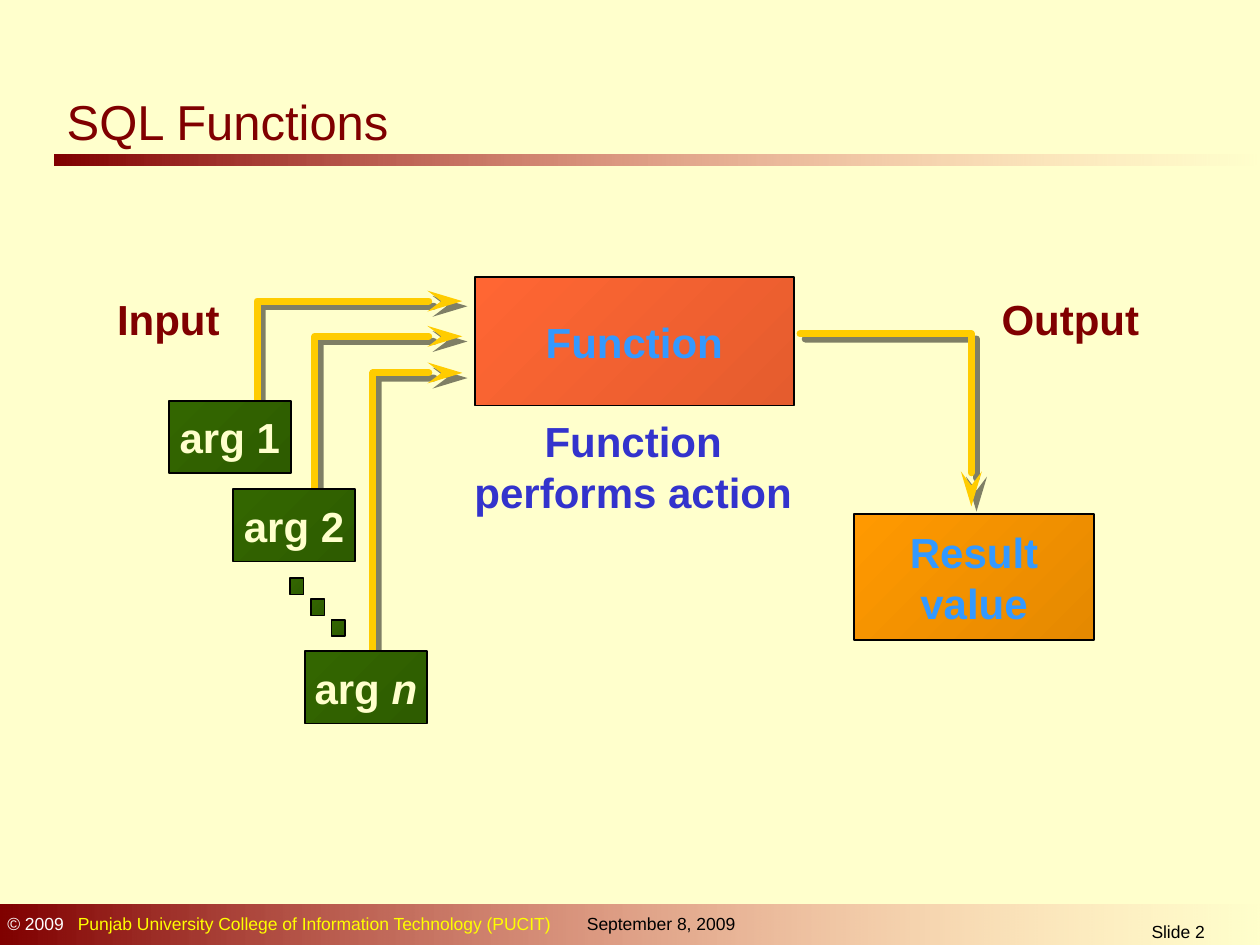
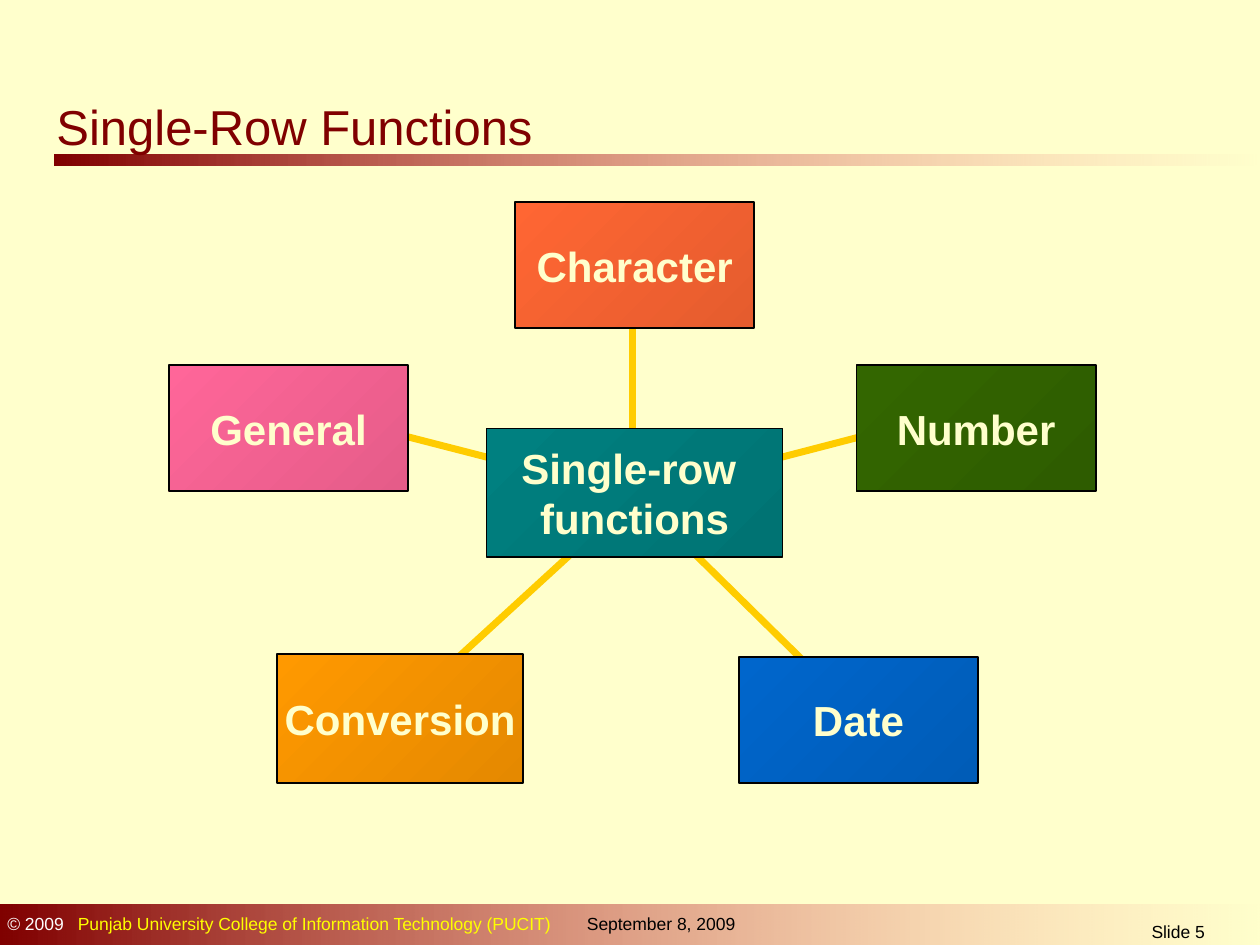
from dataclasses import dataclass

from lxml import etree
from pptx import Presentation
from pptx.dml.color import RGBColor
from pptx.enum.shapes import MSO_CONNECTOR, MSO_SHAPE
from pptx.enum.text import MSO_ANCHOR, PP_ALIGN
from pptx.oxml.ns import qn
from pptx.util import Pt

RECT = MSO_SHAPE.RECTANGLE
STRAIGHT = MSO_CONNECTOR.STRAIGHT
LEFT, CENTER = PP_ALIGN.LEFT, PP_ALIGN.CENTER
TOP, MIDDLE = MSO_ANCHOR.TOP, MSO_ANCHOR.MIDDLE

FONT = "Arial"
CREAM, MAROON, GOLD, BLACK = "FFFFCC", "800000", "FFCC00", "000000"
SKY, INDIGO, WHITE, YELLOW = "3399FF", "3333CC", "FFFFFF", "FFFF00"
BAND = ("FF8585", MAROON)

# Box shades: dark lower right, bright upper left
ORANGE = ("E55C2E", "FF6633")
GREEN = ("2E5C00", "336600")
AMBER = ("E58900", "FF9900")
BLUE = ("005CB7", "0066CC")
PINK = ("E55C89", "FF6699")
TEAL = ("007373", "008080")


@dataclass
class Run:
    text: str
    color: str
    size: float = 24
    bold: bool = True
    italic: bool = False


@dataclass
class Box:
    x: float
    y: float
    w: float
    h: float
    shade: tuple[str, str]
    lines: tuple[tuple[Run, ...], ...] = ()


@dataclass
class Label:
    x: float
    y: float
    w: float
    h: float
    runs: tuple[Run, ...]
    align: PP_ALIGN = LEFT
    wrap: bool = False
    indent: float = 0
    tab: float = 0


def rgb(color: str) -> RGBColor:
    return RGBColor.from_string(color)


def sub(parent, tag: str, **attrs: str):
    return etree.SubElement(parent, qn(tag), attrs)


def line_style(s, color: str, width: float) -> None:
    s.line.color.rgb = rgb(color)
    s.line.width = Pt(width)


def shade_fill(s, shade: tuple[str, str], angle: float) -> None:
    s.fill.gradient()
    s.fill.gradient_angle = angle
    for stop, color, position in zip(s.fill.gradient_stops, shade, (0, 1)):
        stop.color.rgb = rgb(color)
        stop.position = position


def write(tf, lines, align: PP_ALIGN, anchor: MSO_ANCHOR, wrap: bool) -> None:
    tf.word_wrap = wrap
    tf.vertical_anchor = anchor
    for i, runs in enumerate(lines):
        p = tf.add_paragraph() if i else tf.paragraphs[0]
        p.alignment = align
        for run in runs:
            r = p.add_run()
            r.text = run.text
            r.font.name, r.font.size = FONT, Pt(run.size)
            r.font.bold, r.font.italic = run.bold, run.italic
            r.font.color.rgb = rgb(run.color)


def draw_box(slide, box: Box) -> None:
    s = slide.shapes.add_shape(RECT, Pt(box.x), Pt(box.y), Pt(box.w), Pt(box.h))
    s.shadow.inherit = False
    shade_fill(s, box.shade, 135)
    line_style(s, BLACK, 1)
    write(s.text_frame, box.lines, CENTER, MIDDLE, False)


def draw_label(slide, label: Label) -> None:
    s = slide.shapes.add_textbox(Pt(label.x), Pt(label.y), Pt(label.w), Pt(label.h))
    pPr = s.text_frame.paragraphs[0]._p.get_or_add_pPr()
    if label.indent:
        pPr.set("marL", str(Pt(label.indent)))
    if label.tab:
        sub(sub(pPr, "a:tabLst"), "a:tab", pos=str(Pt(label.tab)), algn="l")
    write(s.text_frame, [label.runs], label.align, TOP, label.wrap)


def draw_band(slide, x: float, y: float, w: float, h: float) -> None:
    """Maroon band that fades out to the right."""
    s = slide.shapes.add_shape(RECT, Pt(x), Pt(y), Pt(w), Pt(h))
    s.shadow.inherit = False
    shade_fill(s, BAND, 180)
    s.line.fill.background()
    faded = s._element.spPr.find(".//" + qn("a:srgbClr"))
    sub(faded, "a:alpha", val="0")


def draw_elbow(slide, *points: tuple[float, float]) -> None:
    """Bent arrow with a hard shadow."""
    start, *rest = [(Pt(x), Pt(y)) for x, y in points]
    builder = slide.shapes.build_freeform(*start)
    builder.add_line_segments(rest, close=False)
    s = builder.convert_to_shape()
    s.fill.background()
    line_style(s, GOLD, 4)
    ln = s.line._get_or_add_ln()
    ln.set("cap", "rnd")
    sub(ln, "a:round")
    sub(ln, "a:tailEnd", type="stealth", w="med", len="lg")
    s.shadow.inherit = False
    effects = s._element.spPr.find(qn("a:effectLst"))
    shadow = sub(effects, "a:outerShdw", blurRad="0", dist=str(Pt(4.2)),
                 dir="2700000", algn="ctr", rotWithShape="0")
    sub(sub(shadow, "a:srgbClr", val=BLACK), "a:alpha", val="50000")


def draw_spoke(slide, x1: float, y1: float, x2: float, y2: float) -> None:
    s = slide.shapes.add_connector(STRAIGHT, Pt(x1), Pt(y1), Pt(x2), Pt(y2))
    line_style(s, GOLD, 4)
    sub(s._element.spPr, "a:effectLst")


def new_slide(prs, number: int, title: str, x: float, y: float, w: float, h: float):
    """Slide with background, bands, footer and title."""
    slide = prs.slides.add_slide(prs.slide_layouts[6])
    slide.background.fill.solid()
    slide.background.fill.fore_color.rgb = rgb(CREAM)
    draw_band(slide, 31, 88.6, 689, 6)
    draw_band(slide, 0, 517, 722, 25.2)
    owner = "Punjab University College of Information Technology (PUCIT)"
    for label in (
        Label(-2.9, 518.4, 465, 19.4,
              (Run("© 2009\t", WHITE, 10, False), Run(owner, YELLOW, 10, False)),
              wrap=True, tab=40.3),
        Label(308.9, 518.4, 130.3, 19.4,
              (Run("September 8, 2009", BLACK, 10, False),), wrap=True, indent=19.4),
        Label(598.3, 522.7, 149.8, 17.3,
              (Run(f"Slide {number}", BLACK, 10, False),), CENTER, True),
        Label(x, y, w, h, (Run(title, MAROON, 28, False),)),
    ):
        draw_label(slide, label)
    return slide


def sql_functions(prs) -> None:
    slide = new_slide(prs, 2, "SQL Functions", 31, 49, 200.9, 36.7)
    draw_box(slide, Box(271.4, 158.4, 182.2, 73.4, ORANGE, ((Run("Function", SKY),),)))
    draw_label(slide, Label(59.8, 164.2, 73.4, 36, (Run("Input", MAROON),)))

    # Arguments and their arrows into the function
    arrow_end = 264.2
    for x, bottom, top in ((146.9, 241.2, 172.1), (180, 285.1, 192.2),
                           (213.1, 376.6, 213.1)):
        draw_elbow(slide, (x, bottom), (x, top), (arrow_end, top))
    arguments = (
        (96.5, 229, (Run("arg 1", CREAM),)),
        (133.2, 279.4, (Run("arg 2", CREAM),)),
        (174.2, 372, (Run("arg ", CREAM), Run("n", CREAM, italic=True))),
    )
    for x, y, runs in arguments:
        draw_box(slide, Box(x, y, 69.8, 41.4, GREEN, (runs,)))

    # Diagonal dots for the arguments left out
    for i in range(3):
        draw_box(slide, Box(165.6 + 11.9 * i, 330.4 + 11.9 * i, 7.9, 9.4, GREEN))

    # Action and result
    draw_label(slide, Label(259.2, 234, 205.2, 64.8,
                            (Run("Function performs action", INDIGO),), CENTER, True))
    draw_elbow(slide, (457.2, 190.8), (555.1, 190.8), (555.1, 289.4))
    draw_label(slide, Label(565.2, 164.2, 92.9, 36, (Run("Output", MAROON),)))
    draw_box(slide, Box(488.2, 293.8, 136.8, 72, AMBER,
                        ((Run("Result", SKY),), (Run("value", SKY),))))


def single_row_functions(prs) -> None:
    slide = new_slide(prs, 5, "Single-Row Functions", 25.2, 51.8, 297.4, 42.5)

    # Spokes from the hub
    hub_x, hub_y = 362.9, 283
    draw_spoke(slide, 361.4, hub_y, 361.4, 171.4)
    for x, y in ((208.8, 243.4), (521.3, 241.9), (225.4, 409), (494.6, 412.6)):
        draw_spoke(slide, hub_x, hub_y, x, y)

    # Function kinds around the hub
    w, h = 136.8, 72
    kinds = (
        ("Conversion", 158.4, 373.9, 140.4, 73.4, AMBER),
        ("Character", 294.3, 115.6, w, h, ORANGE),
        ("Number", 489.4, 208.8, w, h, GREEN),
        ("Date", 422.2, 375.5, w, h, BLUE),
        ("General", 96.5, 208.8, w, h, PINK),
    )
    for name, *place in kinds:
        draw_box(slide, Box(*place, ((Run(name, CREAM),),)))
    draw_box(slide, Box(278, 244.8, 169.2, 73.4, TEAL,
                        ((Run("Single-row ", CREAM),), (Run("functions", CREAM),))))


def main() -> None:
    prs = Presentation()
    prs.slide_width, prs.slide_height = Pt(720), Pt(540)
    sql_functions(prs)
    single_row_functions(prs)
    prs.save("out.pptx")


if __name__ == "__main__":
    main()
